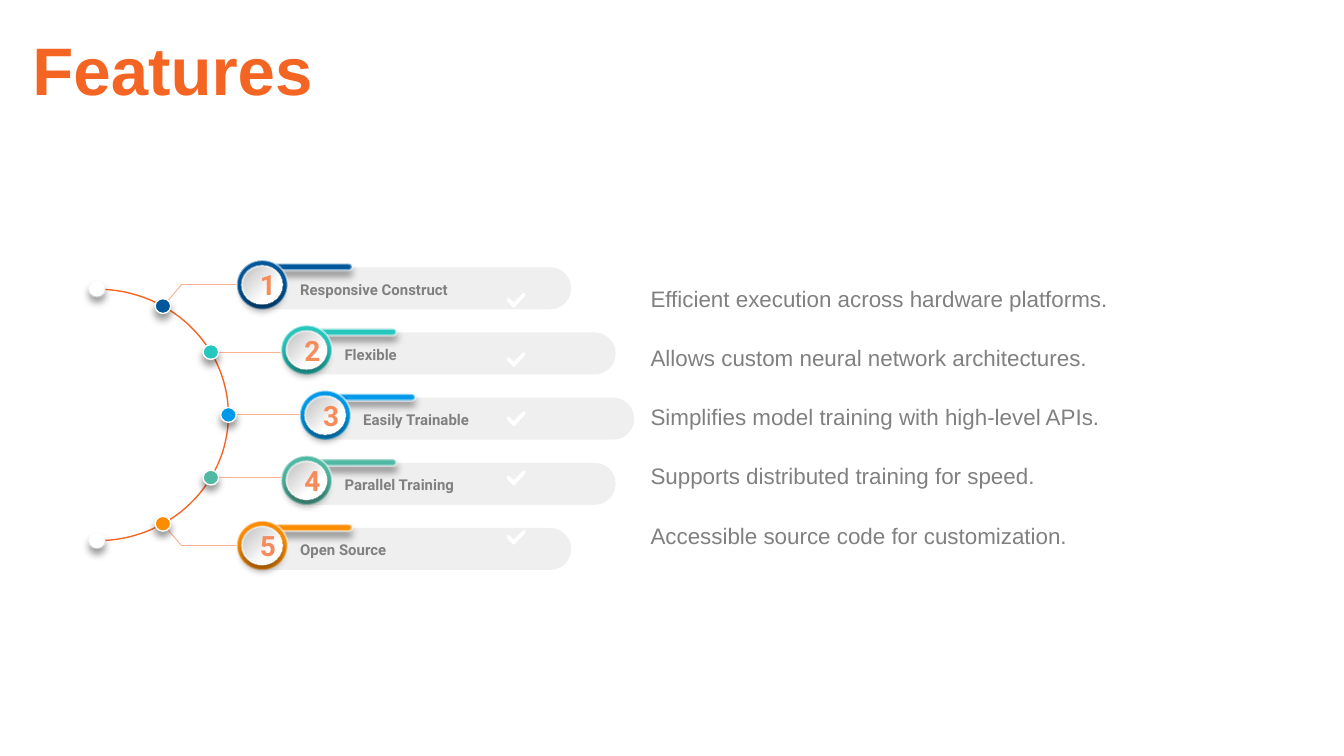
from math import cos, pi, sin

from lxml.etree import SubElement
from pptx import Presentation
from pptx.dml.color import RGBColor
from pptx.enum.shapes import MSO_CONNECTOR as CONN, MSO_SHAPE as SHAPE
from pptx.enum.text import MSO_ANCHOR as ANCHOR, PP_ALIGN as ALIGN
from pptx.oxml.ns import qn
from pptx.util import Pt

COLORS = {
    "title": "F46524", "lead": "FAB292", "number": "F78C5B", "text": "808080",
    "pill": "D9D9D9", "disc": "C7C7C7", "white": "FFFFFF", "shadow": "000000",
    "navy": "01579B", "teal": "27C7BD", "blue": "0099E8", "green": "51B9A3",
    "orange": "FB8C00",
}
RGB = {name: RGBColor.from_string(value) for name, value in COLORS.items()}

FEATURES = [
    ("Responsive Construct", "Efficient execution across hardware platforms.", "navy", 129.6, 87.3, 164),
    ("Flexible", "Allows custom neural network architectures.", "teal", 153.4, 113, 188.6),
    ("Easily Trainable", "Simplifies model training with high-level APIs.", "blue", 163.4, 122.4, 222.3),
    ("Parallel Training", "Supports distributed training for speed.", "green", 153.4, 113, 255.9),
    ("Open Source", "Accessible source code for customization.", "orange", 129.6, 87.3, 280.6),
]
PILL_TOP, PILL_GAP = 143.2, 34.92
TEXT_TOP, TEXT_GAP = 152.6, 31.75
ARC_X, ARC_Y, ARC_RX, ARC_RY = 52, 222.3, 70.4, 67.4
CHECK = [(0, 3.4), (0.7, 2.9), (1.5, 3.1), (3.7, 5.2), (8.6, 0.4), (9.4, 0.1),
         (10, 0.7), (10, 1.6), (4.4, 7.6), (3.7, 8), (3, 7.6), (0.2, 4.6)]


def add_shape(kind, x, y, w, h, fill, line=0, line_alpha=100, fill_alpha=100, shadow=False):
    sp = s.shapes.add_shape(kind, Pt(x), Pt(y), Pt(w), Pt(h))
    sp.fill.solid()
    sp.fill.fore_color.rgb = RGB[fill]
    spPr = sp._element.spPr
    color = spPr.find(qn("a:solidFill")).find(qn("a:srgbClr"))
    SubElement(color, qn("a:alpha"), val=str(fill_alpha * 1000))
    if line:
        sp.line.width = Pt(line)
        sp.line.color.rgb = RGB["white"]
        color = spPr.find(qn("a:ln")).find(qn("a:solidFill")).find(qn("a:srgbClr"))
        SubElement(color, qn("a:alpha"), val=str(line_alpha * 1000))
    else:
        sp.line.fill.background()
    sp.shadow.inherit = False
    if shadow:
        outer = SubElement(spPr.find(qn("a:effectLst")), qn("a:outerShdw"), blurRad=str(Pt(4)),
                           dist=str(Pt(3)), dir="5400000", algn="bl", rotWithShape="0")
        color = SubElement(outer, qn("a:srgbClr"), val=COLORS["shadow"])
        SubElement(color, qn("a:alpha"), val="40000")
    return sp


def add_run(sp, text, size, font, color, bold=False, inset=0, anchor=ANCHOR.TOP):
    tf = sp.text_frame
    tf.word_wrap = True
    tf.vertical_anchor = anchor
    tf.margin_left = tf.margin_right = tf.margin_top = tf.margin_bottom = Pt(inset)
    p = tf.paragraphs[0]
    p.alignment = ALIGN.LEFT
    r = p.add_run()
    r.text = text
    r.font.size, r.font.name, r.font.bold = Pt(size), font, bold
    r.font.color.rgb = RGB[color]
    return p


prs = Presentation()
prs.slide_width, prs.slide_height = Pt(720), Pt(405)
s = prs.slides.add_slide(prs.slide_layouts[5])

title = s.shapes.title
title.left, title.top, title.width, title.height = Pt(10.2), Pt(5.2), Pt(409), Pt(60.5)
add_run(title, "Features", 36, "Arial", "title", True, 7.2, ANCHOR.BOTTOM)

leads = [(88.6, 162.7, 97.2, 152.6), (97.2, 152.6, 129.6, 152.6),
         (88.6, 282.2, 97.2, 292.3), (97.2, 292.3, 129.6, 292.3),
         (113.8, 188.6, 157.7, 188.6), (122.4, 222.3, 166.3, 222.3),
         (113.8, 255.9, 157.7, 255.9)]
for x1, y1, x2, y2 in leads:
    lead = s.shapes.add_connector(CONN.STRAIGHT, Pt(x1), Pt(y1), Pt(x2), Pt(y2))
    lead.line.color.rgb = RGB["lead"]
    lead.line.width = Pt(0.5)
    SubElement(lead._element.spPr, qn("a:effectLst"))

angles = [pi * i / 60 - pi / 2 for i in range(61)]
points = [(Pt(ARC_X + ARC_RX * cos(a)), Pt(ARC_Y + ARC_RY * sin(a))) for a in angles]
builder = s.shapes.build_freeform(*points[0])
builder.add_line_segments(points[1:], close=False)
arc = builder.convert_to_shape()
arc.fill.background()
arc.line.color.rgb = RGB["title"]
arc.line.width = Pt(0.75)
arc.shadow.inherit = False

for y in (ARC_Y - ARC_RY, ARC_Y + ARC_RY):
    add_shape(SHAPE.OVAL, ARC_X - 4.2, y - 4, 8.4, 8, "white", 1.25, 42, shadow=True)
for label, detail, color, x, dot_x, dot_y in FEATURES:
    add_shape(SHAPE.OVAL, dot_x - 4.2, dot_y - 4, 8.4, 8, color, 0.75, shadow=True)

for i, (label, detail, color, x, dot_x, dot_y) in enumerate(FEATURES):
    y = PILL_TOP + i * PILL_GAP
    pill = add_shape(SHAPE.ROUNDED_RECTANGLE, x, y, 176.4, 22.5, "pill", fill_alpha=42)
    bar = add_shape(SHAPE.ROUNDED_RECTANGLE, x + 8.6, y - 2, 50.4, 3.6, color, 1.25, 48, shadow=True)
    pill.adjustments[0] = bar.adjustments[0] = 0.5
    add_shape(SHAPE.OVAL, x - 2.7, y - 3.8, 27.2, 26.4, color, 1, 52)
    disc = add_shape(SHAPE.OVAL, x, y - 0.8, 21.6, 20.4, "white", 1.25, 42, shadow=True)
    disc.fill.gradient()
    disc.fill.gradient_angle = 315
    for stop, shade, position in zip(disc.fill.gradient_stops, ("disc", "white"), (0.09, 0.68)):
        stop.color.rgb = RGB[shade]
        stop.position = position
    p = add_run(disc, str(i + 1), 15, "Roboto", "number", True, anchor=ANCHOR.MIDDLE)
    p.alignment = ALIGN.CENTER
    disc.text_frame.margin_left = Pt(6.4)
    disc.text_frame.word_wrap = False
    box = s.shapes.add_textbox(Pt(x + 26.2), Pt(y + 2.2), Pt(148.3), Pt(21.6))
    add_run(box, label, 8, "Roboto", "text", True, 5)

for i, (label, detail, color, x, dot_x, dot_y) in enumerate(FEATURES):
    y = TEXT_TOP + i * TEXT_GAP
    box = s.shapes.add_textbox(Pt(348.5), Pt(y), Pt(358.6), Pt(14.4))
    add_run(box, detail, 12, "Arial", "text", anchor=ANCHOR.MIDDLE)
    points = [(Pt(271.5 + dx), Pt(y + 4.2 + dy)) for dx, dy in CHECK]
    builder = s.shapes.build_freeform(*points[0])
    builder.add_line_segments(points[1:])
    check = builder.convert_to_shape()
    check.fill.solid()
    check.fill.fore_color.rgb = RGB["white"]
    check.line.fill.background()
    check.shadow.inherit = False

prs.save("out.pptx")
